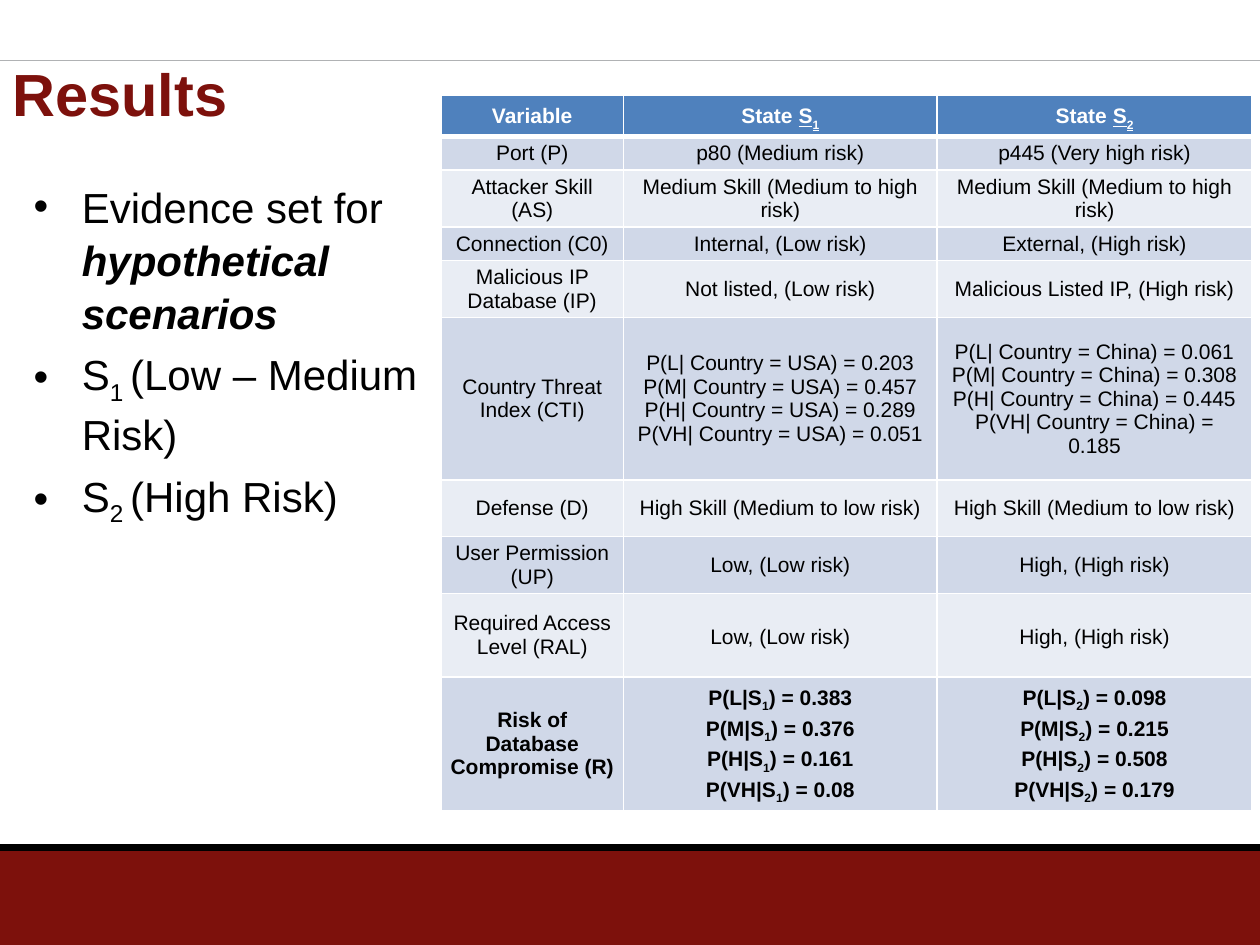
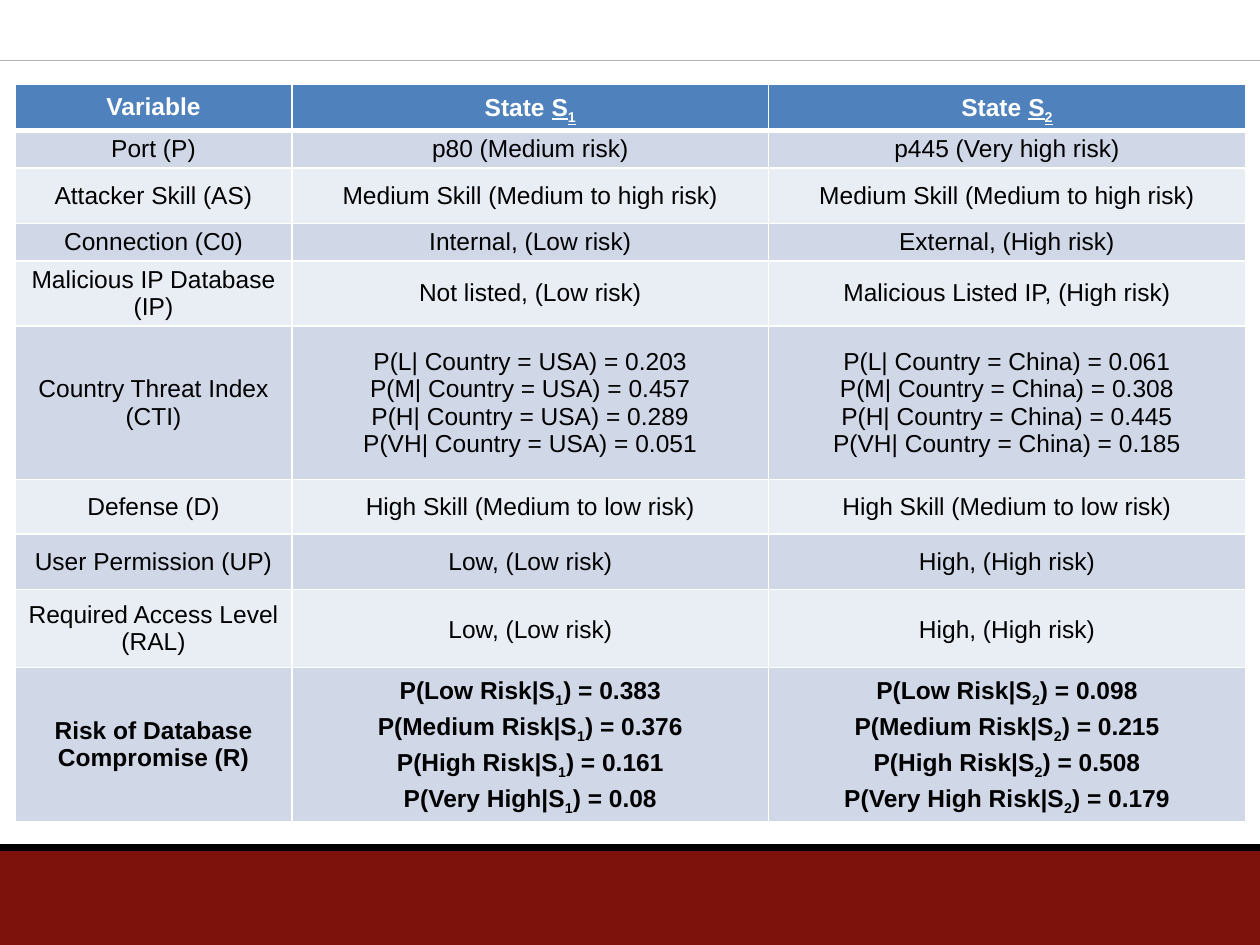
"""Build two slides comparing the evidence and the risk of states S1 and S2."""
from lxml.etree import SubElement
from pptx import Presentation
from pptx.dml.color import RGBColor
from pptx.enum.shapes import MSO_CONNECTOR as Connector, MSO_SHAPE as Shape
from pptx.enum.text import MSO_ANCHOR as Anchor, PP_ALIGN as Align
from pptx.oxml.ns import qn
from pptx.util import Cm, Pt

FONT = "Arial"
MAROON, BLACK, WHITE, RULE_GRAY = "7D110C", "000000", "FFFFFF", "B0B2B4"
HEADER_BLUE, BAND_DARK, BAND_LIGHT = "4F81BD", "D0D8E8", "E9EDF4"
SLIDE_WIDTH, SLIDE_HEIGHT = 25.4, 19.05

EVIDENCE = [
    ("Port (P)", "p80 (Medium risk)", "p445 (Very high risk)"),
    ("Attacker Skill (AS)",) + ("Medium Skill (Medium to high risk)",) * 2,
    ("Connection (C0)", "Internal, (Low risk)", "External, (High risk)"),
    ("Malicious IP Database (IP)", "Not listed, (Low risk)",
     "Malicious Listed IP, (High risk)"),
    ("Country Threat Index (CTI)", "USA", "China"),
    ("Defense (D)",) + ("High Skill (Medium to low risk)",) * 2,
    ("User Permission (UP)", "Low, (Low risk)", "High, (High risk)"),
    ("Required Access Level (RAL)", "Low, (Low risk)", "High, (High risk)"),
]
THREAT_INDEX = {
    "USA": ("0.203", "0.457", "0.289", "0.051"),
    "China": ("0.061", "0.308", "0.445", "0.185"),
}
COMPROMISE = [
    ("0.383", "0.376", "0.161", "0.08"),
    ("0.098", "0.215", "0.508", "0.179"),
]
SHORT_LEVELS = ("L", "M", "H", "VH")
LONG_LEVELS = ("Low Risk", "Medium Risk", "High Risk")


def rgb(color):
    """Turn a hex string into a colour."""
    return RGBColor.from_string(color)


def add_run(paragraph, text, size, color, bold=False, italic=False,
            underline=False, subscript=False):
    """Add one formatted run to a paragraph."""
    run = paragraph.add_run()
    run.text = text
    font = run.font
    font.name, font.size, font.color.rgb = FONT, Pt(size), rgb(color)
    font.bold, font.italic, font.underline = bold, italic, underline
    if subscript:
        run._r.get_or_add_rPr().set("baseline", "-25000")


def add_bullet(paragraph, indent=0.97):
    """Give a paragraph a round bullet and a hanging indent."""
    properties = paragraph._p.get_or_add_pPr()
    properties.set("marL", str(Cm(indent)))
    properties.set("indent", str(-Cm(indent)))
    SubElement(properties, qn("a:buFont")).set("typeface", FONT)
    SubElement(properties, qn("a:buChar")).set("char", "•")


def write(frame, paragraphs, size, color=BLACK, align=Align.LEFT, spacing=None,
          before=0, after=0, bullet=False, **style):
    """Fill a frame with paragraphs, setting text between tildes as subscript."""
    for index, content in enumerate(paragraphs):
        paragraph = frame.add_paragraph() if index else frame.paragraphs[0]
        if bullet:
            add_bullet(paragraph)
        paragraph.alignment = align
        paragraph.space_before = Pt(before if index else 0)
        paragraph.space_after = Pt(after)
        if spacing:
            paragraph.line_spacing = spacing
        pieces = [(content, {})] if isinstance(content, str) else content
        for text, extra in pieces:
            for part, words in enumerate(text.split("~")):
                if words:
                    add_run(paragraph, words, size, color,
                            subscript=part % 2 == 1, **{**style, **extra})


def add_rule(slide, top, color, width):
    """Draw a line across the whole slide."""
    rule = slide.shapes.add_connector(
        Connector.STRAIGHT, 0, Cm(top), Cm(SLIDE_WIDTH), Cm(top))
    rule.line.color.rgb = rgb(color)
    rule.line.width = Pt(width)
    SubElement(rule._element.spPr, qn("a:effectLst"))


def add_frame(slide):
    """Draw the footer band and the two rules every slide carries."""
    band_top = 17.15
    band = slide.shapes.add_shape(Shape.RECTANGLE, 0, Cm(band_top),
                                  Cm(SLIDE_WIDTH), Cm(SLIDE_HEIGHT - band_top))
    band.shadow.inherit = False
    band.fill.solid()
    band.fill.fore_color.rgb = rgb(MAROON)
    band.line.fill.background()
    add_rule(slide, 1.22, RULE_GRAY, 0.75)
    add_rule(slide, 17.09, BLACK, 3.75)


def add_title(slide, text):
    """Place and format the slide title."""
    title = slide.shapes.title
    title.left, title.top = Cm(0), Cm(0.28)
    title.width, title.height = Cm(19.76), Cm(3.18)
    title.text_frame.vertical_anchor = Anchor.MIDDLE
    write(title.text_frame, [text], 34, MAROON, bold=True)


def add_bullets(slide, left, top, width, height, points):
    """Add a bulleted text box."""
    frame = slide.shapes.add_textbox(
        Cm(left), Cm(top), Cm(width), Cm(height)).text_frame
    frame.word_wrap = True
    write(frame, points, 24, spacing=1.05, before=4.8, bullet=True)


def style_cell(cell, fill, top=1, bottom=1, margins=(0.18, 0.1)):
    """Set the borders, fill, margins and anchor of a cell."""
    properties = cell._tc.get_or_add_tcPr()
    for side, width in zip("LRTB", (1, 1, top, bottom)):
        border = SubElement(properties, qn(f"a:ln{side}"), w=str(Pt(width)))
        SubElement(SubElement(border, qn("a:solidFill")),
                   qn("a:srgbClr"), val=WHITE)
    cell.fill.solid()
    cell.fill.fore_color.rgb = rgb(fill)
    cell.margin_left = cell.margin_right = Cm(margins[0])
    cell.margin_top = cell.margin_bottom = Cm(margins[1])
    cell.vertical_anchor = Anchor.MIDDLE


def threat_lines(country):
    """List the threat index probabilities of a country."""
    return [f"P({level}| Country = {country}) = {value}"
            for level, value in zip(SHORT_LEVELS, THREAT_INDEX[country])]


def risk_lines(state, levels):
    """List the compromise probabilities of a state."""
    return [f"P({level}|S~{state}~) = {value}"
            for level, value in zip(levels, COMPROMISE[state - 1])]


def add_state_table(slide, left, top, widths, heights, size, levels_by_state):
    """Add the table of evidence and resulting risk for both states."""
    table = slide.shapes.add_table(
        len(heights), len(widths), Cm(left), Cm(top),
        Cm(sum(widths)), Cm(sum(heights))).table
    for column, width in zip(table.columns, widths):
        column.width = Cm(width)
    for row, height in zip(table.rows, heights):
        row.height = Cm(height)

    headings = ["Variable"] + [
        [("State ", {}), (f"S~{state}~", {"underline": True})] for state in (1, 2)]
    for column, heading in enumerate(headings):
        cell = table.cell(0, column)
        style_cell(cell, HEADER_BLUE, bottom=3,
                   margins=(0, 0) if column == 2 else (0.18, 0.1))
        layout = {"spacing": 1.15, "after": 10} if column else {}
        write(cell.text_frame, [heading], size, WHITE, Align.CENTER,
              bold=True, **layout)

    result = ["Risk of Database Compromise (R)"] + [
        risk_lines(state, levels) for state, levels in enumerate(levels_by_state, 1)]
    last = len(EVIDENCE) + 1
    for row, entries in enumerate(EVIDENCE + [result], 1):
        for column, entry in enumerate(entries):
            cell = table.cell(row, column)
            style_cell(cell, BAND_DARK if row % 2 else BAND_LIGHT,
                       top=3 if row == 1 else 1)
            if entry in THREAT_INDEX if isinstance(entry, str) else False:
                entry = threat_lines(entry)
            lines = [entry] if isinstance(entry, str) else entry
            loose = column > 0 and row >= last - 1
            write(cell.text_frame, lines, size, align=Align.CENTER,
                  spacing=1.15 if loose else None, bold=row == last)


def add_results_slide(deck):
    """Add the titled slide with the scenarios beside the table."""
    slide = deck.slides.add_slide(deck.slide_layouts[5])
    add_frame(slide)
    add_state_table(slide, 8.89, 1.93, (3.68, 6.32, 6.35),
                    (0.69, 0.61, 1.14, 0.61, 1.14, 3.28, 1.14, 1.14, 1.68, 2.49),
                    12, (SHORT_LEVELS, SHORT_LEVELS))
    add_title(slide, "Results")
    add_bullets(slide, 0.43, 3.48, 8.89, 11.23, [
        [("Evidence set for ", {}),
         ("hypothetical scenarios", {"bold": True, "italic": True})],
        "S~1 ~(Low – Medium Risk)",
        "S~2 ~(High Risk)",
    ])


def add_table_slide(deck):
    """Add the slide with the table at full width."""
    slide = deck.slides.add_slide(deck.slide_layouts[6])
    add_frame(slide)
    add_state_table(slide, 0.3, 1.7, (5.59, 9.6, 9.62),
                    (0.79, 0.71, 1.12, 0.71, 1.12, 3.1, 1.09, 1.12, 1.57, 2.57),
                    14, (LONG_LEVELS + ("Very High",),
                         LONG_LEVELS + ("Very High Risk",)))


def main():
    """Build and save the deck."""
    deck = Presentation()
    deck.slide_width, deck.slide_height = Cm(SLIDE_WIDTH), Cm(SLIDE_HEIGHT)
    add_results_slide(deck)
    add_table_slide(deck)
    deck.save("out.pptx")


if __name__ == "__main__":
    main()
